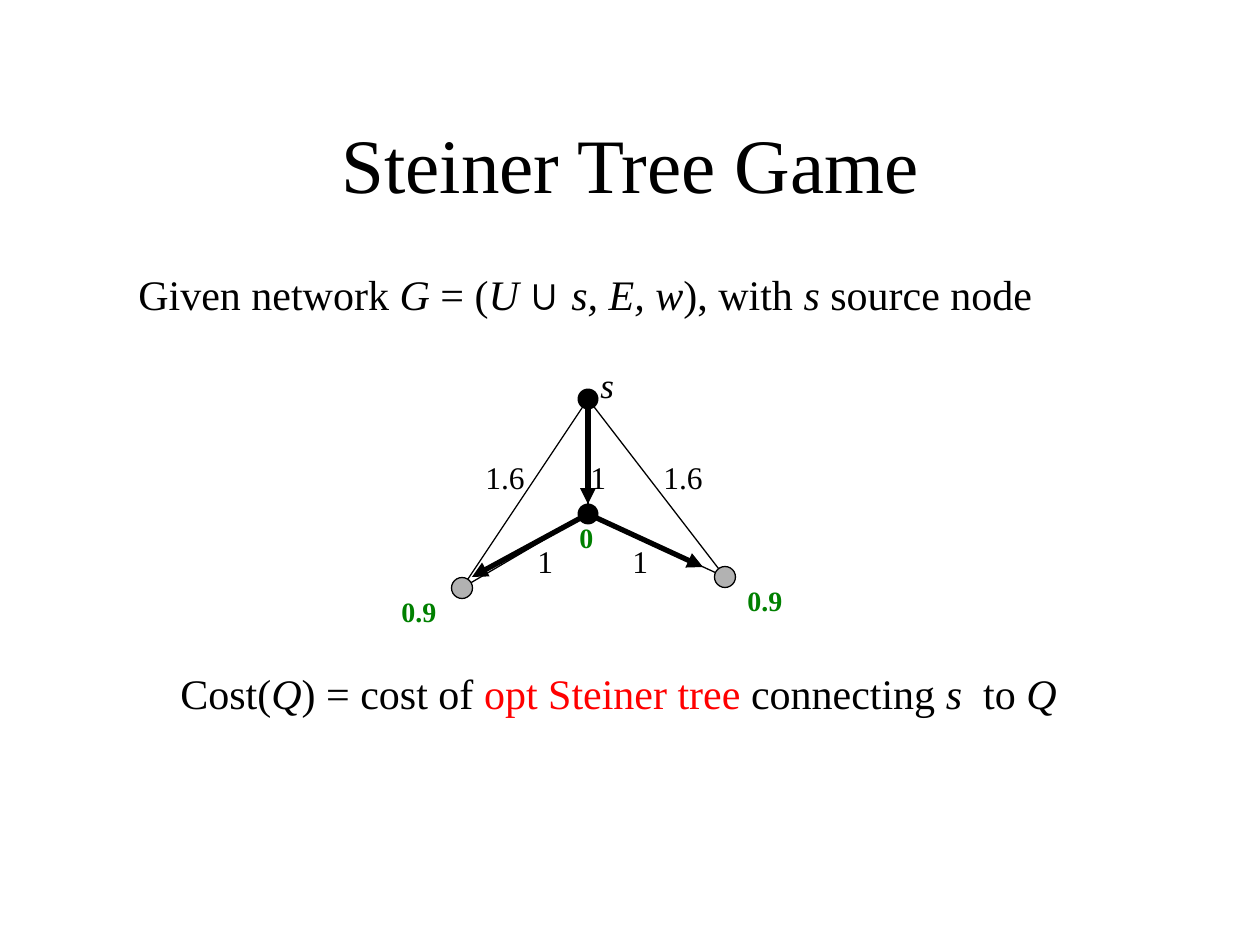
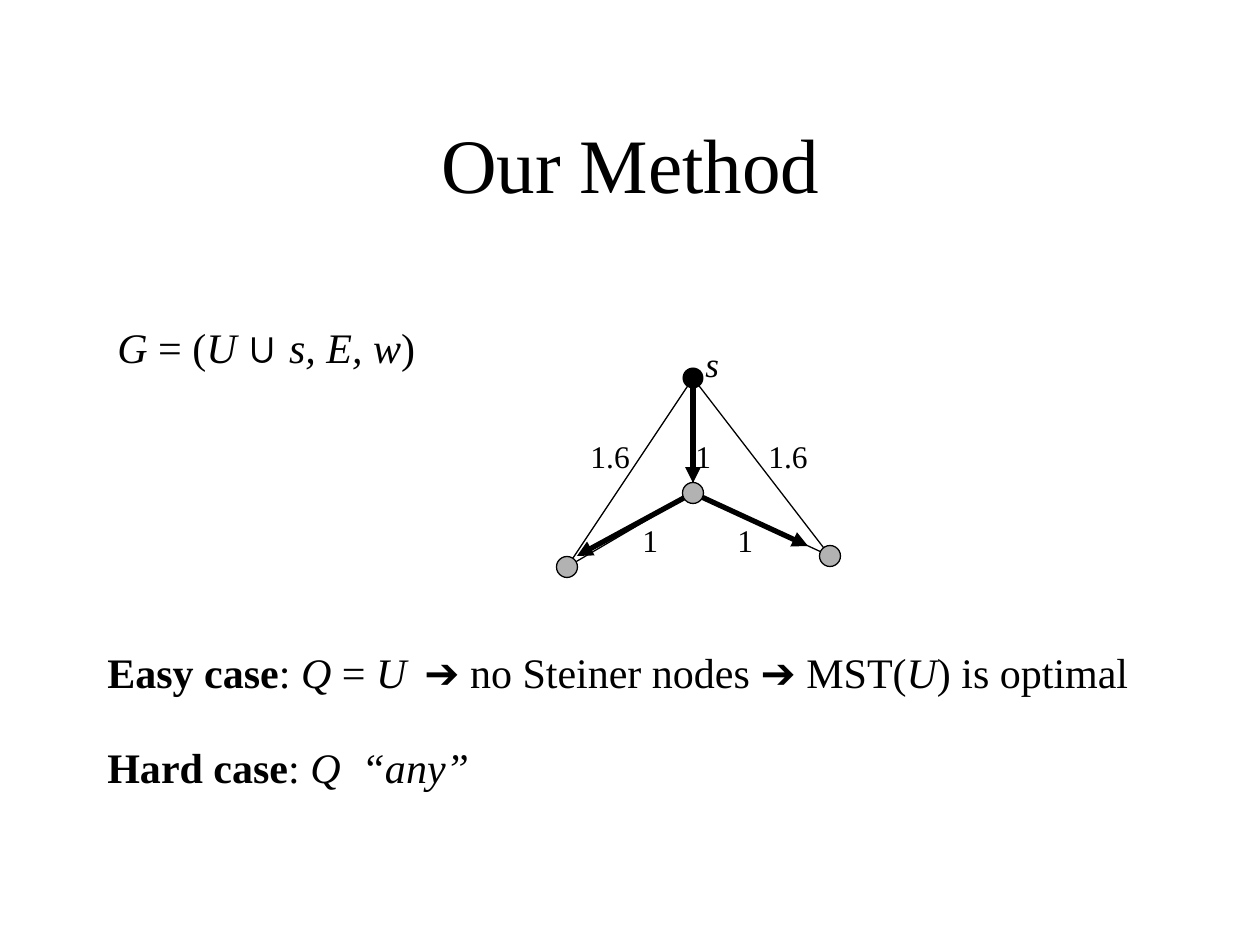
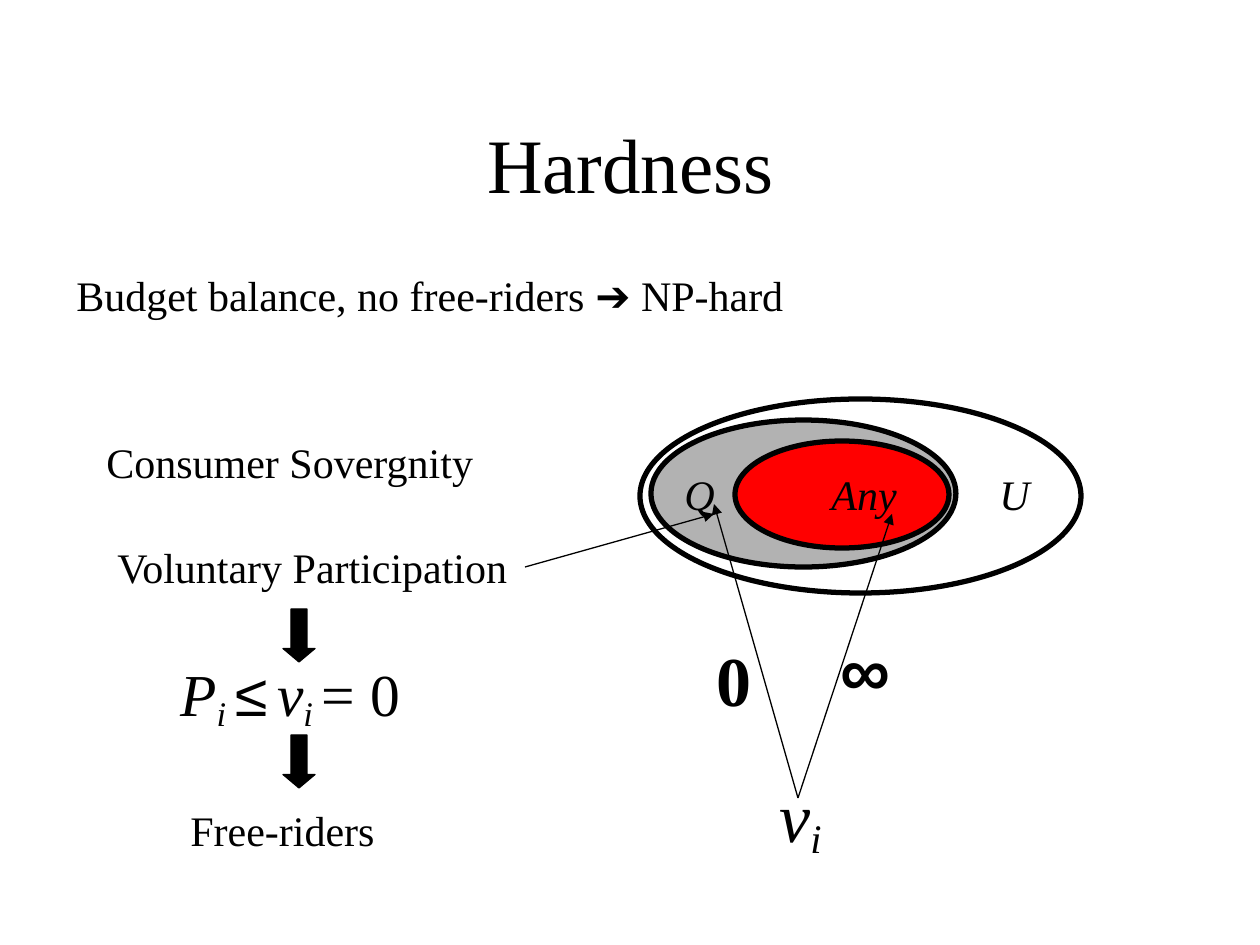
from lxml.etree import SubElement
from pptx import Presentation
from pptx.dml.color import RGBColor
from pptx.enum.shapes import MSO_CONNECTOR, MSO_SHAPE
from pptx.enum.text import MSO_ANCHOR, MSO_AUTO_SIZE, PP_ALIGN
from pptx.oxml.ns import qn
from pptx.util import Emu, Pt

BLACK = RGBColor(0x00, 0x00, 0x00)
WHITE = RGBColor(0xFF, 0xFF, 0xFF)
GRAY = RGBColor(0xB2, 0xB2, 0xB2)
RED = RGBColor(0xFF, 0x00, 0x00)
GREEN = RGBColor(0x00, 0x80, 0x00)
SERIF, SANS = "Times New Roman", "Arial"
THIN, THICK = 0.75, 3
BODY_SIZE, TITLE_SIZE = 24, 44
EMU_PER_PX = 914400 / 126
SLIDE_SIZE = (1260, 945)
TITLE_BOX = (95, 84, 1071, 158)

NETWORK = [("G ", "i"), ("= (", ""), ("U ", "i"), ("∪ ", "a"), ("s, E, w", "i")]

STEINER_TEXTS = [
    ((126, 262, 930, 63), [("Given network ", "")] + NETWORK
     + [("), with ", ""), ("s ", "i"), ("source node", "")]),
    ((168, 661, 910, 63), [("Cost(", ""), ("Q", "i"), (") = cost of ", ""), ("opt Steiner tree", "r"),
                           (" connecting ", ""), ("s ", "i"), (" to ", ""), ("Q", "i")]),
]
METHOD_TEXTS = [
    ((412, 640, 746, 63), [("➔", "a"), (" no Steiner nodes ", ""), ("➔", "a"), (" MST(", ""),
                           ("U", "i"), (") is optimal", "")]),
    ((105, 315, 329, 63), NETWORK + [(")", "")]),
    ((95, 640, 338, 63), [("Easy case", "b"), (": ", ""), ("Q ", "i"), ("= ", ""), ("U", "i")]),
    ((95, 735, 391, 63), [("Hard case", "b"), (": ", ""), ("Q  “any”", "i")]),
]

NODE_DIAMETER = 21
SOURCE, HUB, LEFT, RIGHT = (0, 0), (0, 115), (-126, 189), (137, 178)
EDGES = [(SOURCE, HUB), (HUB, LEFT), (HUB, RIGHT), (SOURCE, LEFT), (SOURCE, RIGHT)]
TREE_ARROWS = [((0, 10), (0, 105)), (HUB, (-116, 178)), (HUB, (115, 168))]
EDGE_LABELS = [
    ("s", "i", 20, (0, -42, 42, 55)),
    ("1", "", 18, (-10, 53, 44, 50)),
    ("1", "", 18, (-63, 137, 44, 50)),
    ("1", "", 18, (32, 137, 44, 50)),
    ("1.6", "", 18, (-115, 53, 70, 50)),
    ("1.6", "", 18, (63, 53, 70, 50)),
]
NODE_VALUES = [
    ("0.9", "gb", 16, (-199, 189, 66, 47)),
    ("0.9", "gb", 16, (147, 178, 66, 47)),
    ("0", "gb", 16, (-21, 115, 42, 47)),
]

SETS = [
    ((651, 420, 305, 147), GRAY, "Q", (672, 462, 60, 63)),
    ((735, 441, 214, 107), RED, "Any", (819, 462, 95, 63)),
    ((640, 399, 441, 194), None, "U", (987, 462, 60, 63)),
]
HEADLINE = ((64, 263, 742, 63), [("Budget balance, no free-riders ", ""), ("➔", "a"), (" NP-hard", "")])
VALUATIONS = [
    ((767, 766, 80, 102), [("v", "i"), ("i", "is")]),
    ((828, 620, 81, 97), [("∞", "ab")]),
    ((704, 630, 64, 97), [("0", "b")]),
]
POINTERS = [((798, 798), (714, 504)), ((798, 798), (892, 514)), ((525, 567), (714, 514))]
ARGUMENT = [
    ((94, 430, 451, 63), 24, [("Consumer Sovergnity", "")]),
    ((105, 535, 451, 63), 24, [("Voluntary Participation", "")]),
    ((168, 651, 273, 88), 34, [("P", "i"), ("i ", "is"), ("≤", "a"), (" ", "as"), ("v", "i"),
                               ("i ", "is"), ("= 0", "")]),
    ((178, 798, 231, 63), 24, [("Free-riders", "")]),
]
IMPLICATIONS = [(283, 609, 32, 53), (283, 735, 32, 53)]


def px(*lengths):
    return [Emu(round(length * EMU_PER_PX)) for length in lengths]


def shifted(origin, point):
    return origin[0] + point[0], origin[1] + point[1]


def add_text(slide, box, pieces, size=BODY_SIZE, wrap=False, centered=False):
    label = slide.shapes.add_textbox(*px(*box))
    frame = label.text_frame
    frame.word_wrap = wrap
    frame.auto_size = MSO_AUTO_SIZE.SHAPE_TO_FIT_TEXT
    paragraph = frame.paragraphs[0]
    paragraph.alignment = PP_ALIGN.CENTER if centered else PP_ALIGN.LEFT
    for text, style in pieces:
        run = paragraph.add_run()
        run.text = text
        font = run.font
        font.name = SANS if "a" in style else SERIF
        font.size = Pt(size)
        font.bold = "b" in style
        font.italic = "i" in style
        font.color.rgb = RED if "r" in style else GREEN if "g" in style else BLACK
        if "s" in style:
            run._r.get_or_add_rPr().set("baseline", "-16000")
    return label


def add_outline(slide, preset, box, fill, width):
    outline = slide.shapes.add_shape(preset, *px(*box))
    outline.shadow.inherit = False
    if fill is None:
        outline.fill.background()
    else:
        outline.fill.solid()
        outline.fill.fore_color.rgb = fill
    if width:
        outline.line.color.rgb = BLACK
        outline.line.width = Pt(width)
    else:
        outline.line.fill.background()
    return outline


def add_line(slide, start, end, width=THIN, arrow=False):
    line = slide.shapes.add_connector(MSO_CONNECTOR.STRAIGHT, *px(*start, *end))
    line.line.color.rgb = BLACK
    line.line.width = Pt(width)
    if arrow:
        SubElement(line.line._get_or_add_ln(), qn("a:tailEnd"), type="triangle")
    SubElement(line._element.spPr, qn("a:effectLst"))


def add_titled_slide(deck, title):
    slide = deck.slides.add_slide(deck.slide_layouts[6])
    heading = add_text(slide, TITLE_BOX, [(title, "")], TITLE_SIZE, True, True)
    heading.text_frame.auto_size = MSO_AUTO_SIZE.NONE
    heading.text_frame.vertical_anchor = MSO_ANCHOR.MIDDLE
    return slide


def add_nodes(slide, origin, nodes, fill, width):
    for node in nodes:
        x, y = shifted(origin, node)
        corner = (x - NODE_DIAMETER / 2, y - NODE_DIAMETER / 2)
        add_outline(slide, MSO_SHAPE.OVAL, (*corner, NODE_DIAMETER, NODE_DIAMETER), fill, width)


def add_network(slide, origin, black_nodes, gray_nodes, labels):
    add_nodes(slide, origin, black_nodes, BLACK, 0)
    for start, end in EDGES:
        add_line(slide, shifted(origin, start), shifted(origin, end))
    for text, style, size, (x, y, width, height) in labels:
        add_text(slide, (*shifted(origin, (x, y)), width, height), [(text, style)], size)
    for start, end in TREE_ARROWS:
        add_line(slide, shifted(origin, start), shifted(origin, end), THICK, True)
    add_nodes(slide, origin, gray_nodes, GRAY, THIN)


def add_hardness(slide):
    for ellipse, fill, name, box in SETS:
        add_outline(slide, MSO_SHAPE.OVAL, ellipse, fill, THICK)
        add_text(slide, box, [(name, "i")])
    headline = add_text(slide, *HEADLINE)
    headline.fill.solid()
    headline.fill.fore_color.rgb = WHITE
    for box, pieces in VALUATIONS:
        add_text(slide, box, pieces, 40)
    for start, end in POINTERS:
        add_line(slide, start, end, arrow=True)
    for box, size, pieces in ARGUMENT:
        add_text(slide, box, pieces, size, True)
    for box in IMPLICATIONS:
        arrow = add_outline(slide, MSO_SHAPE.DOWN_ARROW, box, BLACK, THIN)
        arrow.adjustments[0] = 0.5
        arrow.adjustments[1] = 0.42


def main():
    deck = Presentation()
    deck.slide_width, deck.slide_height = px(*SLIDE_SIZE)

    game = add_titled_slide(deck, "Steiner Tree Game")
    add_network(game, (588, 399), [SOURCE, HUB], [LEFT, RIGHT], EDGE_LABELS + NODE_VALUES)
    for box, pieces in STEINER_TEXTS:
        add_text(game, box, pieces)

    method = add_titled_slide(deck, "Our Method")
    add_network(method, (693, 378), [SOURCE], [LEFT, RIGHT, HUB], EDGE_LABELS)
    for box, pieces in METHOD_TEXTS:
        add_text(method, box, pieces)

    add_hardness(add_titled_slide(deck, "Hardness"))
    deck.save("out.pptx")


if __name__ == "__main__":
    main()
